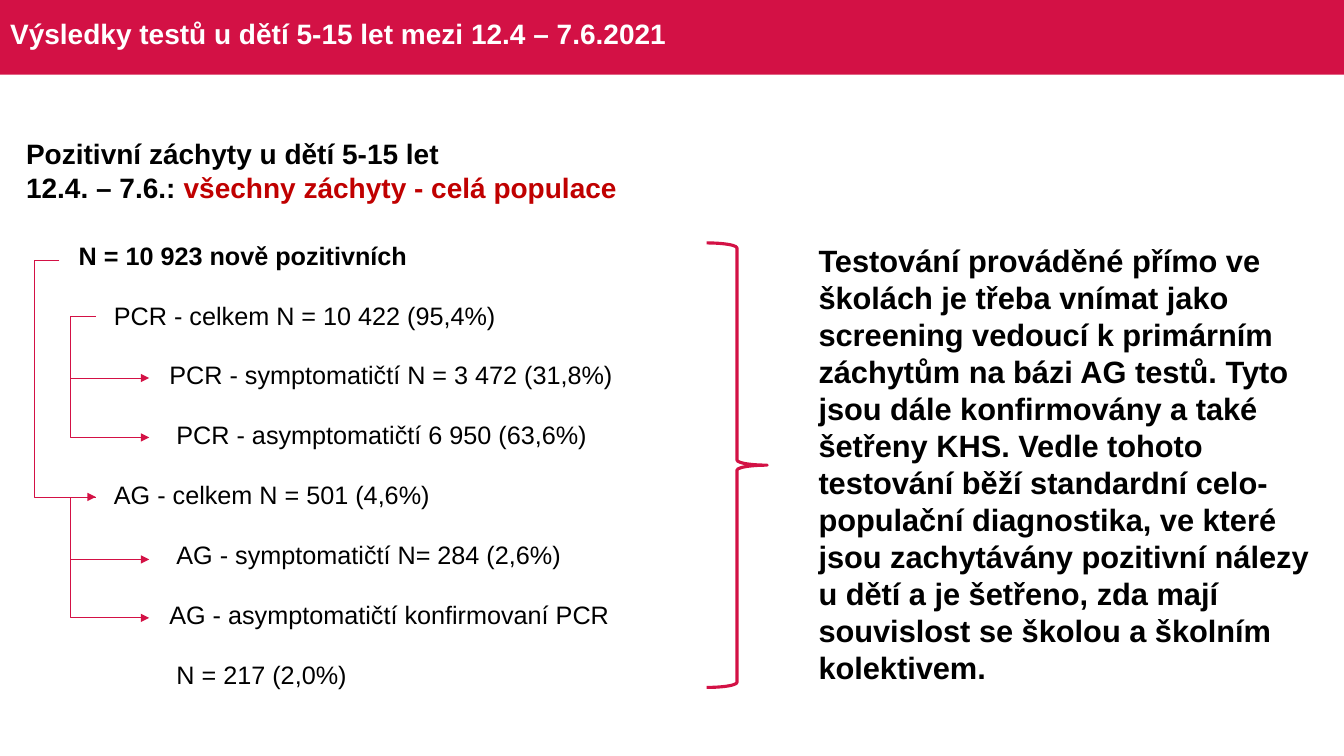
from lxml import etree
from pptx import Presentation
from pptx import util as u
from pptx.dml.color import RGBColor
from pptx.enum import shapes, text
from pptx.oxml.ns import qn

CRIMSON = RGBColor(0xD3, 0x11, 0x45)
RED = RGBColor(0xC0, 0x00, 0x00)
BLACK = RGBColor(0, 0, 0)
WHITE = RGBColor(0xFF, 0xFF, 0xFF)

COMMENTARY = (
    "Testování prováděné přímo ve školách je třeba vnímat jako screening vedoucí "
    "k primárním záchytům na bázi AG testů. Tyto jsou dále konfirmovány a také "
    "šetřeny KHS. Vedle tohoto testování běží standardní celo-populační diagnostika, "
    "ve které jsou zachytávány pozitivní nálezy u dětí a je šetřeno, zda mají "
    "souvislost se školou a školním kolektivem."
)

# Row text and its indent in inches
RESULTS = [
    ("N = 10 923 nově pozitivních", 0),
    ("PCR - celkem N = 10 422 (95,4%)", 0.35),
    ("PCR - symptomatičtí N = 3 472 (31,8%)", 0.9),
    ("PCR - asymptomatičtí 6 950 (63,6%)", 0.97),
    ("AG - celkem N = 501 (4,6%)", 0.35),
    ("AG - symptomatičtí N= 284 (2,6%)", 0.97),
    ("AG - asymptomatičtí konfirmovaní PCR", 0.9),
    ("N = 217 (2,0%)", 0.97),
]


class SlideBuilder:
    font = "Arial"
    accent = CRIMSON

    def __init__(self, page):
        self.page = page

    def style(self, para, size, color=BLACK, bold=True):
        for span in para.runs:
            span.font.name = self.font
            span.font.size = u.Pt(size)
            span.font.bold = bold
            span.font.color.rgb = color

    def place(self, shape, area):
        shape.left, shape.top, shape.width, shape.height = map(u.Inches, area)

    def title(self, words, area):
        box = self.page.shapes.title
        self.place(box, area)
        # Bring the title in front of the header bar
        self.page.shapes._spTree.append(box._element)
        frame = box.text_frame
        frame.text = words
        frame.vertical_anchor = text.MSO_ANCHOR.MIDDLE
        para = frame.paragraphs[0]
        para.alignment = text.PP_ALIGN.LEFT
        para.line_spacing = 0.9
        self.style(para, 20, WHITE)

    def shape(self, kind, area):
        shape = self.page.shapes.add_shape(kind, *map(u.Inches, area))
        shape.shadow.inherit = False
        return shape

    def bar(self, area):
        bar = self.shape(shapes.MSO_SHAPE.RECTANGLE, area)
        bar.fill.solid()
        bar.fill.fore_color.rgb = self.accent
        bar.line.fill.background()

    def brace(self, area):
        brace = self.shape(shapes.MSO_SHAPE.RIGHT_BRACE, area)
        brace.fill.background()
        brace.line.color.rgb = self.accent
        brace.line.width = u.Pt(2.25)

    def text_box(self, words, area, size, wrap=True):
        box = self.page.shapes.add_textbox(*map(u.Inches, area))
        frame = box.text_frame
        frame.word_wrap = wrap
        frame.auto_size = text.MSO_AUTO_SIZE.SHAPE_TO_FIT_TEXT
        frame.text = words
        for para in frame.paragraphs:
            self.style(para, size)
        return frame

    def table(self, rows, area):
        table = self.page.shapes.add_table(len(rows), 1, *map(u.Inches, area)).table
        table.first_row = table.horz_banding = False
        for index, (words, indent) in enumerate(rows):
            cell = table.cell(index, 0)
            cell.fill.background()
            cell.vertical_anchor = text.MSO_ANCHOR.MIDDLE
            cell.margin_left = u.Inches(0.01 + indent)
            cell.margin_right = cell.margin_top = u.Inches(0.01)
            cell.margin_bottom = 0
            cell.text = words
            self.style(cell.text_frame.paragraphs[0], 18, bold=index == 0)

    def branch(self, start, end, spine):
        """Elbow arrow that runs down a vertical spine left of both ends."""
        arrow = self.page.shapes.add_connector(
            shapes.MSO_CONNECTOR.ELBOW, *map(u.Inches, start + end))
        arrow.line.color.rgb = self.accent
        arrow.line.width = u.Pt(0.5)
        bend = round((spine - start[0]) / (end[0] - start[0]) * 100000)
        properties = arrow._element.spPr
        guides = properties.find(qn("a:prstGeom")).get_or_add_avLst()
        etree.SubElement(guides, qn("a:gd"), name="adj1", fmla=f"val {bend}")
        etree.SubElement(arrow.line._get_or_add_ln(), qn("a:tailEnd"), type="triangle")
        etree.SubElement(properties, qn("a:effectLst"))


def main():
    deck = Presentation()
    deck.slide_width, deck.slide_height = u.Inches(13.33), u.Inches(7.5)
    builder = SlideBuilder(deck.slides.add_slide(deck.slide_layouts[5]))

    # Header
    builder.bar((0, 0, 13.33, 0.74))
    builder.title("Výsledky testů u dětí 5-15 let mezi 12.4 – 7.6.2021",
                  (0, 0.04, 13.15, 0.63))

    # Commentary behind the brace
    builder.brace((7.01, 2.41, 0.6, 4.41))
    builder.text_box(COMMENTARY, (8.02, 2.35, 5.13, 4.54), 22)

    # Results
    builder.table(RESULTS, (0.77, 2.24, 6.01, 4.76))
    heading = builder.text_box("Pozitivní záchyty u dětí 5-15 let\n12.4. – 7.6.: ",
                               (0.16, 1.31, 6.18, 0.77), 20, wrap=False)
    period = heading.paragraphs[1]
    period.add_run().text = "všechny záchyty - celá populace"
    builder.style(period, 20)
    period.runs[1].font.color.rgb = RED

    # Tree arrows
    builder.branch((0.59, 2.58), (0.95, 4.93), 0.34)
    for top, targets in ((3.14, (3.75, 4.34)), (4.93, (5.55, 6.13))):
        for target in targets:
            builder.branch((0.95, top), (1.48, target), 0.7)

    deck.save("out.pptx")


if __name__ == "__main__":
    main()
